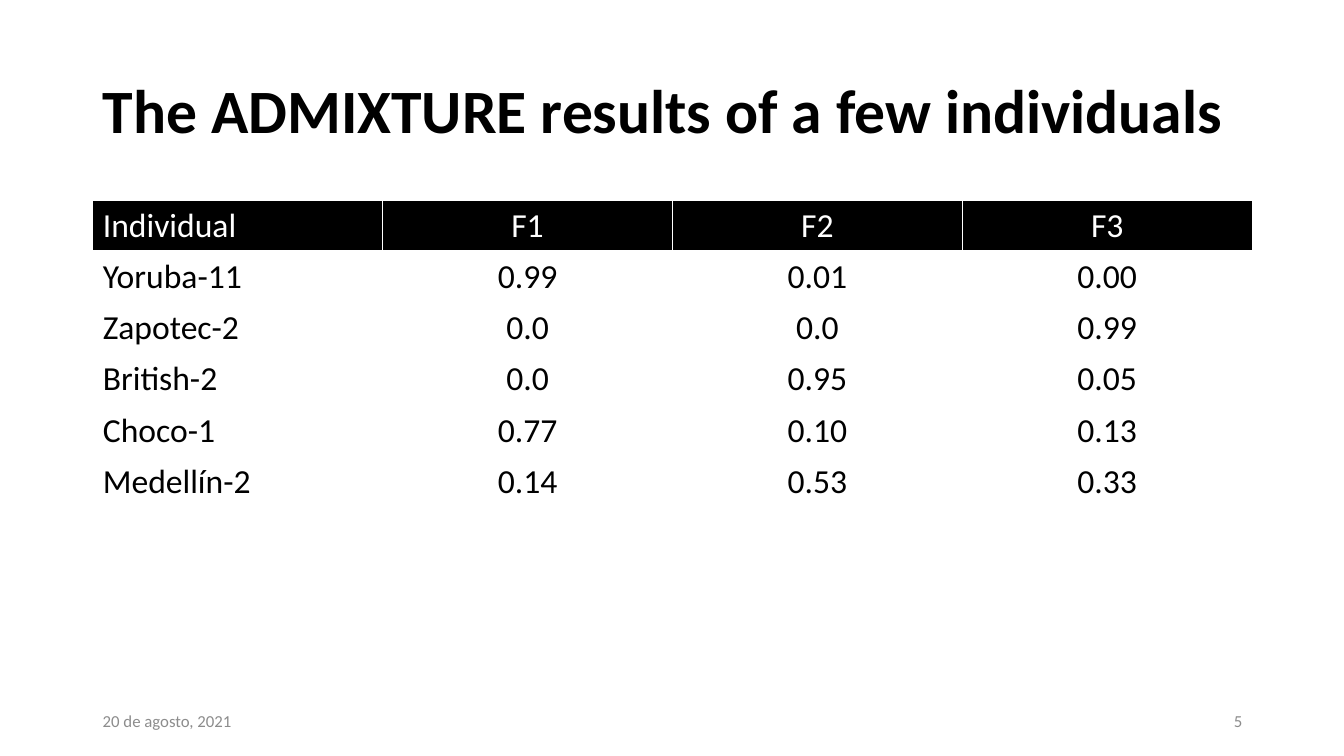
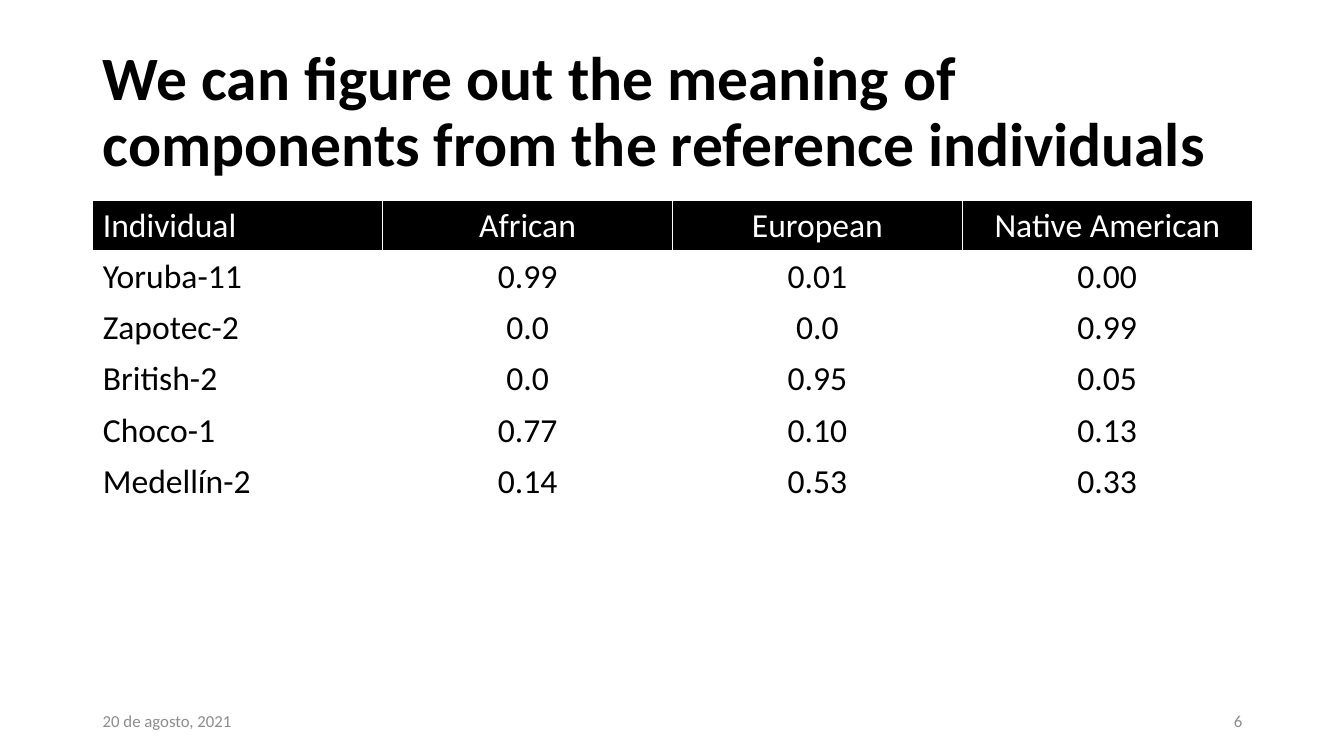
from dataclasses import dataclass

from lxml.etree import SubElement
from pptx import Presentation
from pptx.dml.color import RGBColor
from pptx.enum.text import MSO_ANCHOR, MSO_AUTO_SIZE, PP_ALIGN
from pptx.oxml.ns import qn
from pptx.util import Inches, Pt


@dataclass(frozen=True)
class Theme:
    font: str = "Calibri"
    black: str = "000000"
    white: str = "FFFFFF"
    grey: str = "8C8C8C"
    title_size: int = 44
    table_size: int = 24
    footer_size: int = 12
    border: int = 1
    header_border: int = 3


THEME = Theme()
SLIDE_WIDTH, SLIDE_HEIGHT = 13.33, 7.5
MARGIN = 0.92
GRID_COLUMNS, GRID_ROWS = 23, 150
COLUMN = 0.5
ROW = SLIDE_HEIGHT / GRID_ROWS

TITLE_AREA = (0, 8, GRID_COLUMNS, 29)
TABLE_AREA = (0, 39.8, GRID_COLUMNS, 60)
DATE_AREA = (0, 139, 6, 8)
NUMBER_AREA = (17, 139, 6, 8)

DATE = "20 de agosto, 2021"
INDIVIDUALS = [
    ("Yoruba-11", "0.99", "0.01", "0.00"),
    ("Zapotec-2", "0.0", "0.0", "0.99"),
    ("British-2", "0.0", "0.95", "0.05"),
    ("Choco-1", "0.77", "0.10", "0.13"),
    ("Medellín-2", "0.14", "0.53", "0.33"),
]
SLIDES = [
    (5, "The ADMIXTURE results of a few individuals", ("F1", "F2", "F3")),
    (
        6,
        "We can figure out the meaning of components from the reference individuals",
        ("African", "European", "Native American"),
    ),
]


def grid(column, row, columns, rows):
    return (
        Inches(MARGIN + column * COLUMN),
        Inches(row * ROW),
        Inches(columns * COLUMN),
        Inches(rows * ROW),
    )


def apply(target, values):
    for name, value in values.items():
        setattr(target, name, value)


def write(text_frame, text, size, color, align=PP_ALIGN.LEFT, bold=False, spacing=1.0):
    text_frame.text = text
    paragraph = text_frame.paragraphs[0]
    apply(paragraph, {"alignment": align, "line_spacing": spacing})
    font = paragraph.runs[0].font
    apply(font, {"name": THEME.font, "size": Pt(size), "bold": bold})
    font.color.rgb = RGBColor.from_string(color)


def frame_middle(text_frame):
    apply(text_frame, {
        "word_wrap": True,
        "auto_size": MSO_AUTO_SIZE.NONE,
        "vertical_anchor": MSO_ANCHOR.MIDDLE,
    })


def set_title(slide, text):
    title = slide.shapes.title
    apply(title, dict(zip(("left", "top", "width", "height"), grid(*TITLE_AREA))))
    frame_middle(title.text_frame)
    write(title.text_frame, text, THEME.title_size, THEME.black, bold=True, spacing=0.9)


def add_footer(slide, area, text, align):
    text_frame = slide.shapes.add_textbox(*grid(*area)).text_frame
    frame_middle(text_frame)
    write(text_frame, text, THEME.footer_size, THEME.grey, align)


def set_borders(cell, widths):
    properties = cell._tc.get_or_add_tcPr()
    for position, (side, width) in enumerate(widths.items()):
        line = properties.makeelement(qn(f"a:{side}"), {"w": str(Pt(width))})
        fill = SubElement(line, qn("a:solidFill"))
        SubElement(fill, qn("a:srgbClr"), val=THEME.white)
        properties.insert(position, line)


def add_results_table(slide, rows):
    shape = slide.shapes.add_table(len(rows), len(rows[0]), *grid(*TABLE_AREA))
    table = shape.table
    table.horz_banding = False
    for row_index, values in enumerate(rows):
        is_header = row_index == 0
        fill, color = (
            (THEME.black, THEME.white) if is_header else (THEME.white, THEME.black)
        )
        widths = dict.fromkeys(("lnL", "lnR", "lnT", "lnB"), THEME.border)
        if is_header:
            widths["lnB"] = THEME.header_border
        elif row_index == 1:
            widths["lnT"] = THEME.header_border
        for column_index, value in enumerate(values):
            cell = table.cell(row_index, column_index)
            cell.fill.solid()
            cell.fill.fore_color.rgb = RGBColor.from_string(fill)
            align = PP_ALIGN.CENTER if column_index else PP_ALIGN.LEFT
            write(cell.text_frame, value, THEME.table_size, color, align)
            set_borders(cell, widths)


def add_results_slide(presentation, number, title, components):
    slide = presentation.slides.add_slide(
        presentation.slide_layouts.get_by_name("Title Only")
    )
    set_title(slide, title)
    add_results_table(slide, [("Individual", *components), *INDIVIDUALS])
    add_footer(slide, NUMBER_AREA, str(number), PP_ALIGN.RIGHT)
    add_footer(slide, DATE_AREA, DATE, PP_ALIGN.LEFT)


def main():
    presentation = Presentation()
    apply(presentation, {
        "slide_width": Inches(SLIDE_WIDTH),
        "slide_height": Inches(SLIDE_HEIGHT),
    })
    for number, title, components in SLIDES:
        add_results_slide(presentation, number, title, components)
    presentation.save("out.pptx")


main()
